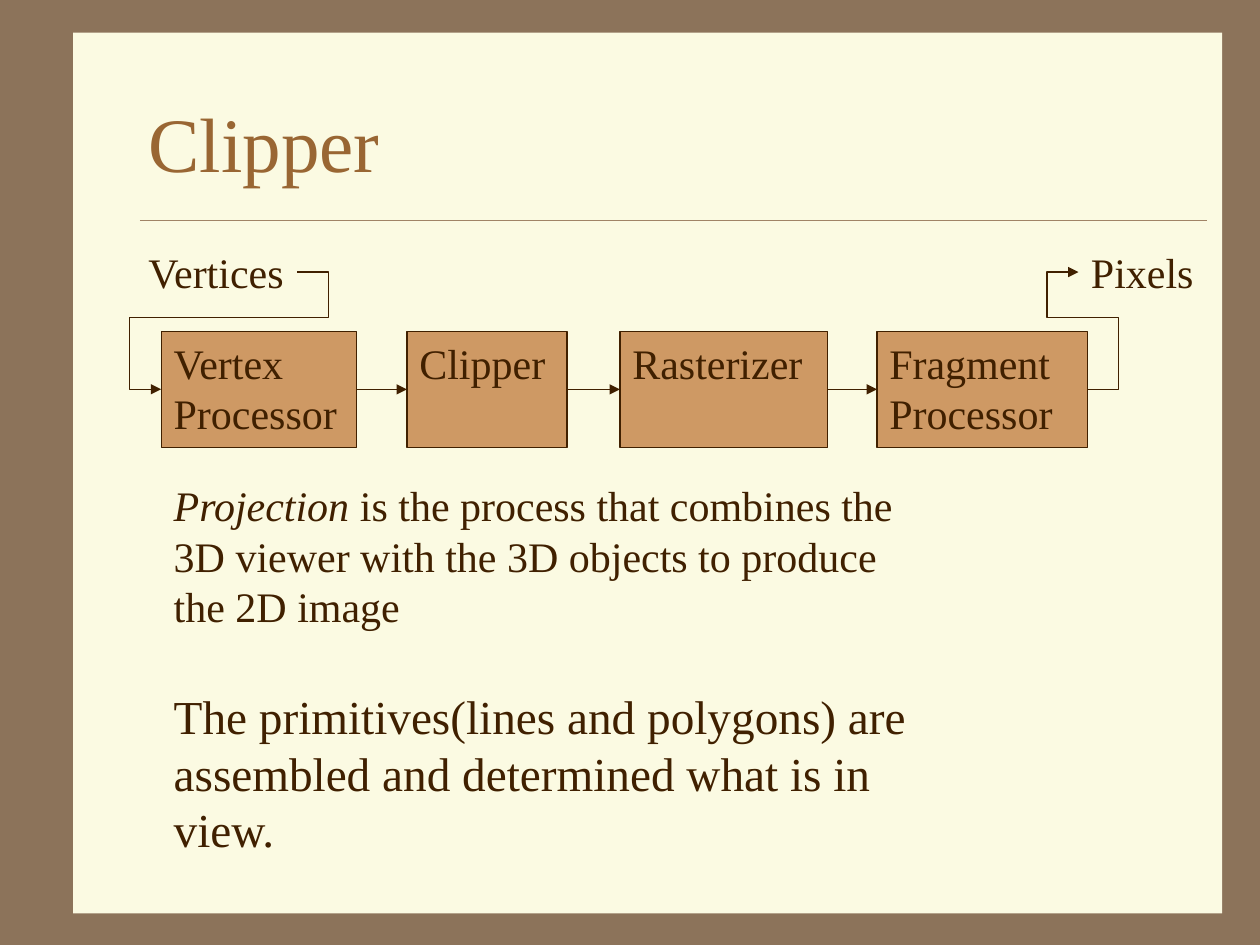
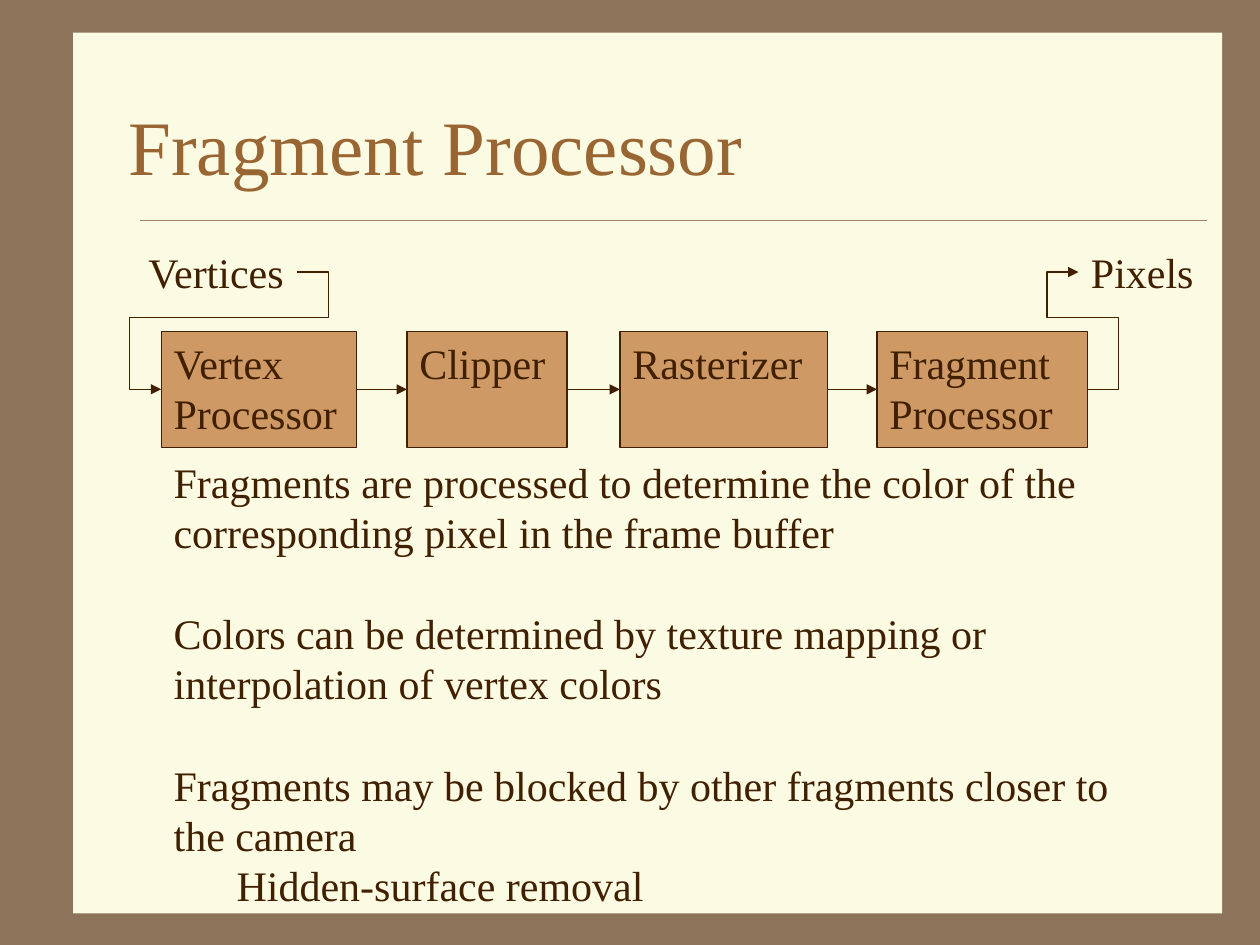
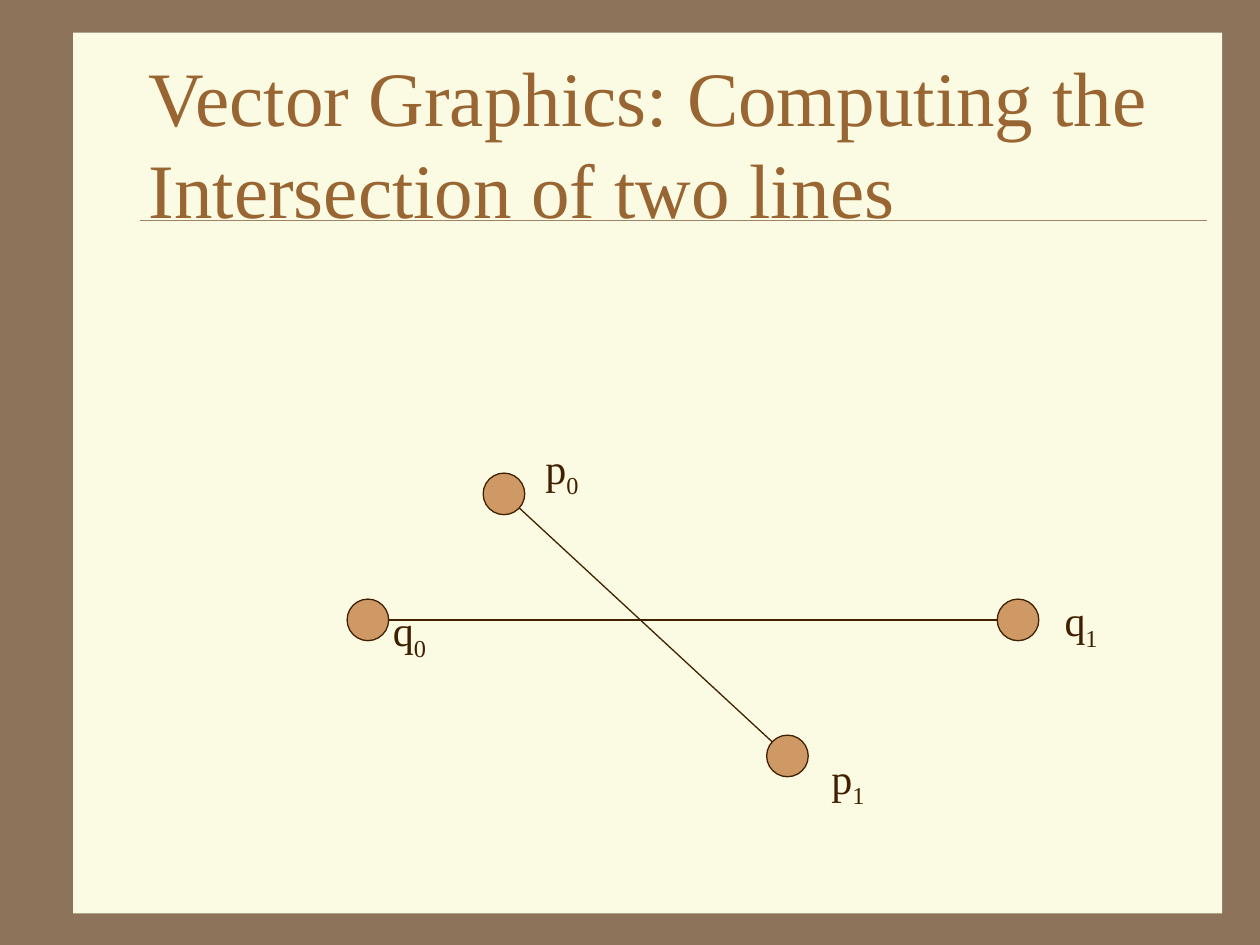
import pptx
import pptx.dml.color
import pptx.enum.shapes
import pptx.enum.text
import pptx.oxml.ns
import pptx.util
from lxml import etree

Inches = pptx.util.Inches
Pt = pptx.util.Pt
Shape = pptx.enum.shapes.MSO_SHAPE
Connector = pptx.enum.shapes.MSO_CONNECTOR
Align = pptx.enum.text.PP_ALIGN
Anchor = pptx.enum.text.MSO_ANCHOR
AutoSize = pptx.enum.text.MSO_AUTO_SIZE

FONT = "Times New Roman"
BORDER, PANEL, RULE = "8C735A", "FBFAE2", "A08366"
TITLE, INK, NODE = "996633", "402000", "CE9964"
TITLE_ONLY = 5
TOP, LEFT, BOTTOM, RIGHT = range(4)


def color(hex_value):
    """Return the colour for a hex string."""
    return pptx.dml.color.RGBColor.from_string(hex_value)


def style_paragraph(paragraph, size=24, hex_value=INK):
    """Align a paragraph left and set its font."""
    paragraph.alignment = Align.LEFT
    paragraph.font.name = FONT
    paragraph.font.size = Pt(size)
    paragraph.font.color.rgb = color(hex_value)


def add_node(slide, kind, left, top, width, height, fill=NODE, line=INK):
    """Add a flat filled shape, outlined if a line colour is given."""
    shape = slide.shapes.add_shape(kind, Inches(left), Inches(top), Inches(width), Inches(height))
    shape.shadow.inherit = False
    shape.fill.solid()
    shape.fill.fore_color.rgb = color(fill)
    if line:
        shape.line.color.rgb = color(line)
        shape.line.width = Pt(0.75)
    else:
        shape.line.fill.background()
    return shape


def add_line(slide, kind, start=(0, 0), end=(0, 0), hex_value=INK, width=0.75):
    """Add a connector without a shadow."""
    connector = slide.shapes.add_connector(kind, *map(Inches, (*start, *end)))
    connector.line.color.rgb = color(hex_value)
    connector.line.width = Pt(width)
    etree.SubElement(connector.element.spPr, pptx.oxml.ns.qn("a:effectLst"))
    return connector


def add_arrow(slide, source, target):
    """Join the right side of one shape to the left side of another."""
    arrow = add_line(slide, Connector.ELBOW)
    arrow.begin_connect(source, RIGHT)
    arrow.end_connect(target, LEFT)
    line = arrow.line._get_or_add_ln()
    etree.SubElement(line, pptx.oxml.ns.qn("a:tailEnd"), type="triangle")
    return arrow


def add_loop_arrow(slide, source, target, lane, stub=0.25):
    """Add an arrow that runs back along a horizontal lane between two shapes."""
    arrow = add_arrow(slide, source, target)
    reach = Inches(stub) / arrow.width
    drop = (Inches(lane) - arrow.begin_y) / (arrow.end_y - arrow.begin_y)
    geometry = arrow.element.spPr.find(pptx.oxml.ns.qn("a:prstGeom"))
    geometry.set("prst", "bentConnector5")
    guides = geometry.find(pptx.oxml.ns.qn("a:avLst"))
    for number, share in enumerate((-reach, drop, 1 + reach), 1):
        etree.SubElement(guides, pptx.oxml.ns.qn("a:gd"), name=f"adj{number}",
                         fmla=f"val {round(share * 100000)}")


def add_text(slide, left, top, width, height, wrap=True):
    """Add a text box that grows with its text."""
    box = slide.shapes.add_textbox(Inches(left), Inches(top), Inches(width), Inches(height))
    box.text_frame.word_wrap = wrap
    box.text_frame.auto_size = AutoSize.SHAPE_TO_FIT_TEXT
    return box


def add_label(slide, left, top, width, text, subscript=""):
    """Add a one-line label with an optional subscript."""
    label = add_text(slide, left, top, width, 0.5, wrap=False)
    paragraph = label.text_frame.paragraphs[0]
    paragraph.add_run().text = text
    if subscript:
        run = paragraph.add_run()
        run.text = subscript
        run._r.get_or_add_rPr().set("baseline", "-25000")
    style_paragraph(paragraph)
    return label


def add_body(slide, left, top, width, height, paragraphs):
    """Add paragraphs given as runs of (text, italic), size, space before and level."""
    frame = add_text(slide, left, top, width, height).text_frame
    for index, (runs, size, gap, level) in enumerate(paragraphs):
        paragraph = frame.add_paragraph() if index else frame.paragraphs[0]
        paragraph.level = level
        if gap:
            paragraph.space_before = Pt(gap)
        for text, italic in runs:
            run = paragraph.add_run()
            run.text = text
            if italic:
                run.font.italic = True
        style_paragraph(paragraph, size)


def decorate_layout(layout, slide):
    """Move the shared panel and title rule behind everything on the layout."""
    panel = add_node(slide, Shape.RECTANGLE, 0.58, 0.26, 9.12, 6.99, PANEL, None)
    rule = add_line(slide, Connector.STRAIGHT, (1.11, 1.75), (9.58, 1.75), RULE, 0.25)
    for position, part in enumerate((panel, rule), 2):
        layout.shapes.element.insert(position, part.element)


def add_titled_slide(presentation, text, left=1.08, top=0.5):
    """Add a slide with a formatted title."""
    slide = presentation.slides.add_slide(presentation.slide_layouts[TITLE_ONLY])
    title = slide.shapes.title
    title.left, title.top, title.width, title.height = map(Inches, (left, top, 8.5, 1.25))
    title.text_frame.text = text
    title.text_frame.auto_size = AutoSize.NONE
    title.text_frame.vertical_anchor = Anchor.MIDDLE
    style_paragraph(title.text_frame.paragraphs[0], 44, TITLE)
    return slide


def add_pipeline(slide, left=1.08, top=1.91):
    """Draw the graphics pipeline from vertices to pixels."""
    stages = []
    for text, offset, width in (("Vertex Processor", 0.2, 1.55), ("Clipper", 2.15, 1.27),
                                ("Rasterizer", 3.84, 1.65), ("Fragment\nProcessor", 5.88, 1.67)):
        stage = add_node(slide, Shape.RECTANGLE, left + offset, top + 0.72, width, 0.92)
        stage.text_frame.text = text
        stage.text_frame.vertical_anchor = Anchor.TOP
        for paragraph in stage.text_frame.paragraphs:
            style_paragraph(paragraph)
        stages.append(stage)
    vertices = add_label(slide, left, top, 1.28, "Vertices")
    pixels = add_label(slide, left + 7.48, top, 1.02, "Pixels")
    add_loop_arrow(slide, vertices, stages[0], top + 0.61)
    for source, target in zip(stages, stages[1:]):
        add_arrow(slide, source, target)
    add_loop_arrow(slide, stages[-1], pixels, top + 0.61)


def add_crossing_lines(slide, left=2.92, top=3.92, size=0.33):
    """Draw two crossing segments with labelled end points."""
    segments = {"q": ((0, 1), (5.16, 1)), "p": ((1.08, 0), (3.33, 2.08))}
    label_offsets = {"p0": (0.23, -0.46), "p1": (0.25, -0.08),
                     "q1": (0.27, -0.25), "q0": (0.1, -0.17)}
    points = {}
    for name, ends in segments.items():
        ends = [(left + x, top + y) for x, y in ends]
        add_line(slide, Connector.STRAIGHT, *ends)
        points.update({f"{name}{index}": end for index, end in enumerate(ends)})
    for x, y in points.values():
        add_node(slide, Shape.OVAL, x - size / 2, y - size / 2, size, size)
    for name, (dx, dy) in label_offsets.items():
        x, y = points[name]
        add_label(slide, x + dx, y + dy, 0.48, *name)


def main():
    """Build the three slides."""
    presentation = pptx.Presentation()
    presentation.slide_width, presentation.slide_height = Inches(10), Inches(7.5)
    background = presentation.slide_master.background.fill
    background.solid()
    background.fore_color.rgb = color(BORDER)

    clipper = add_titled_slide(presentation, "Clipper")
    decorate_layout(presentation.slide_layouts[TITLE_ONLY], clipper)
    add_pipeline(clipper)
    add_body(clipper, 1.28, 3.76, 6.22, 3.13, [
        ([("Projection ", True),
          ("is the process that combines the 3D viewer with the 3D objects "
           "to produce the 2D image", False)], 24, 0, 0),
        ([("The primitives(lines and polygons) are assembled and determined "
           "what is in view.", False)], 27, 32, 0),
    ])

    fragment = add_titled_slide(presentation, "Fragment Processor", 0.92, 0.52)
    add_pipeline(fragment)
    add_body(fragment, 1.28, 3.57, 7.8, 4.19, [
        ([(text, False)], 24, gap, level) for text, gap, level in (
            ("Fragments are processed to determine the color of the corresponding "
             "pixel in the frame buffer", 0, 0),
            ("Colors can be determined by texture mapping or interpolation of "
             "vertex colors", 29, 0),
            ("Fragments may be blocked by other fragments closer to the camera", 29, 0),
            ("Hidden-surface removal", 0, 1))
    ])

    vectors = add_titled_slide(
        presentation, "Vector Graphics: Computing the Intersection of two lines")
    add_crossing_lines(vectors)
    presentation.save("out.pptx")


if __name__ == "__main__":
    main()
